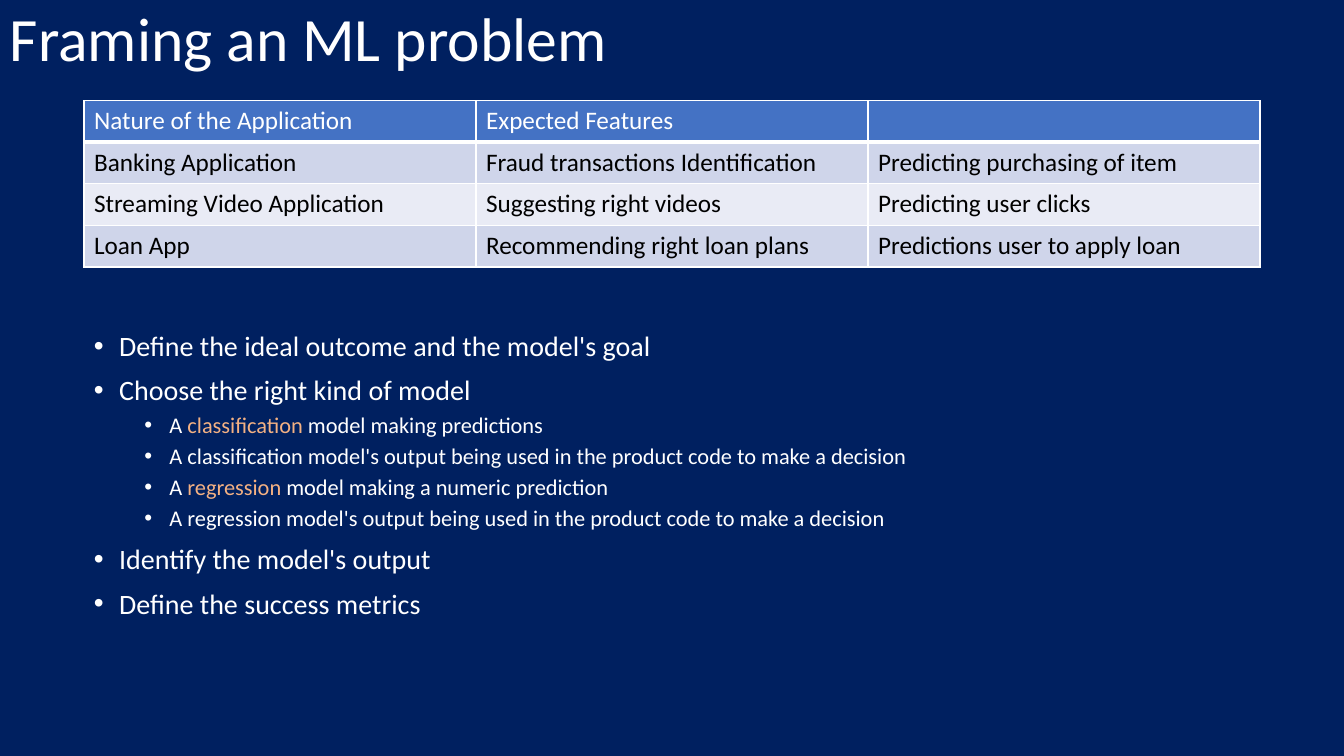
"""Build the slide on framing a machine learning problem."""
from dataclasses import dataclass

from lxml import etree
from pptx import Presentation
from pptx import util as u
from pptx.dml import color
from pptx.enum import text
from pptx.oxml import ns

COLORS = {
    "background": "002060",
    "white": "FFFFFF",
    "black": "000000",
    "accent": "F4B183",
    "header": "4472C4",
    "odd": "CFD5EA",
    "even": "E9EBF5",
}
FONT = "Calibri"
WIDTH, HEIGHT = u.Inches(13.33), u.Inches(7.5)
COLUMNS, ROWS = 16, 90


@dataclass(frozen=True)
class Area:
    """A region in grid columns and rows."""
    column: float
    row: float
    columns: float
    rows: float

    def box(self) -> tuple[int, int, int, int]:
        """Return left, top, width and height in slide units."""
        return (
            round(WIDTH * self.column / COLUMNS),
            round(HEIGHT * self.row / ROWS),
            round(WIDTH * self.columns / COLUMNS),
            round(HEIGHT * self.rows / ROWS),
        )


@dataclass(frozen=True)
class Level:
    """The look of one bullet level, in points and inches."""
    size: int
    space_before: int
    margin: float


@dataclass(frozen=True)
class Bullet:
    """A bullet whose runs are pairs of wording and colour name."""
    level: int
    runs: tuple[tuple[str, str], ...]


TITLE = Area(0, 1, 16, 7.8)
TABLE = Area(1, 12, 14, 19.8)
BODY = Area(1, 39, 14, 35)

LEVELS = (Level(20, 10, 0.25), Level(16, 5, 0.75))
BULLETS = (
    Bullet(0, (("Define the ideal outcome and the model's goal", "white"),)),
    Bullet(0, (("Choose the right kind of model", "white"),)),
    Bullet(1, (("A ", "white"), ("classification", "accent"), (" model making predictions", "white"))),
    Bullet(1, (("A classification model's output being used in the product code to make a decision", "white"),)),
    Bullet(1, (("A ", "white"), ("regression", "accent"), (" model making a numeric prediction", "white"))),
    Bullet(1, (("A regression model's output being used in the product code to make a decision", "white"),)),
    Bullet(0, (("Identify the model's output", "white"),)),
    Bullet(0, (("Define the success metrics", "white"),)),
)
APPLICATIONS = (
    ("Nature of the Application", "Expected Features", ""),
    ("Banking Application", "Fraud transactions Identification", "Predicting purchasing of item"),
    ("Streaming Video Application", "Suggesting right videos", "Predicting user clicks"),
    ("Loan App", "Recommending right loan plans", "Predictions user to apply loan"),
)


def rgb(name: str) -> color.RGBColor:
    """Look up a named colour."""
    return color.RGBColor.from_string(COLORS[name])


def add_run(paragraph, wording: str, size: int, color_name: str) -> None:
    """Append one formatted run to a paragraph."""
    run = paragraph.add_run()
    run.text = wording
    run.font.name = FONT
    run.font.size = u.Pt(size)
    run.font.bold = False
    run.font.color.rgb = rgb(color_name)


def add_text_frame(slide, area: Area):
    """Add a wrapping text box and return its frame."""
    frame = slide.shapes.add_textbox(*area.box()).text_frame
    frame.word_wrap = True
    return frame


def add_title(slide) -> None:
    """Add the slide heading."""
    frame = add_text_frame(slide, TITLE)
    frame.vertical_anchor = text.MSO_ANCHOR.MIDDLE
    paragraph = frame.paragraphs[0]
    paragraph.line_spacing = 0.9
    add_run(paragraph, "Framing an ML problem", 44, "white")


def add_bullets(slide) -> None:
    """Add the two-level list of framing steps."""
    frame = add_text_frame(slide, BODY)
    for index, bullet in enumerate(BULLETS):
        paragraph = frame.add_paragraph() if index else frame.paragraphs[0]
        level = LEVELS[bullet.level]
        paragraph.level = bullet.level
        paragraph.line_spacing = 0.9
        paragraph.space_before = u.Pt(level.space_before)
        properties = paragraph._p.get_or_add_pPr()
        properties.set("marL", str(u.Inches(level.margin)))
        properties.set("indent", str(u.Inches(-0.25)))
        etree.SubElement(properties, ns.qn("a:buFont"), typeface="Arial")
        etree.SubElement(properties, ns.qn("a:buChar"), char="•")
        for wording, color_name in bullet.runs:
            add_run(paragraph, wording, level.size, color_name)


def add_borders(cell, bottom_width: int) -> None:
    """Draw white cell edges, with the bottom width given in points."""
    properties = cell._tc.get_or_add_tcPr()
    for side, width in (("L", 1), ("R", 1), ("T", 1), ("B", bottom_width)):
        line = etree.SubElement(properties, ns.qn(f"a:ln{side}"), w=str(u.Pt(width)))
        fill = etree.SubElement(line, ns.qn("a:solidFill"))
        etree.SubElement(fill, ns.qn("a:srgbClr"), val=COLORS["white"])


def add_applications(slide) -> None:
    """Add the table of applications and their features."""
    row_count, column_count = len(APPLICATIONS), len(APPLICATIONS[0])
    table = slide.shapes.add_table(row_count, column_count, *TABLE.box()).table
    for row_index, row in enumerate(APPLICATIONS):
        is_header = row_index == 0
        fill_name = "header" if is_header else ("even", "odd")[row_index % 2]
        for column_index, wording in enumerate(row):
            cell = table.cell(row_index, column_index)
            add_borders(cell, 3 if is_header else 1)
            cell.fill.solid()
            cell.fill.fore_color.rgb = rgb(fill_name)
            if wording:
                add_run(cell.text_frame.paragraphs[0], wording, 18, "white" if is_header else "black")


def main() -> None:
    """Build and save the presentation."""
    presentation = Presentation()
    presentation.slide_width, presentation.slide_height = WIDTH, HEIGHT
    slide = presentation.slides.add_slide(presentation.slide_layouts[6])
    slide.background.fill.solid()
    slide.background.fill.fore_color.rgb = rgb("background")
    add_title(slide)
    add_bullets(slide)
    add_applications(slide)
    presentation.save("out.pptx")


if __name__ == "__main__":
    main()
